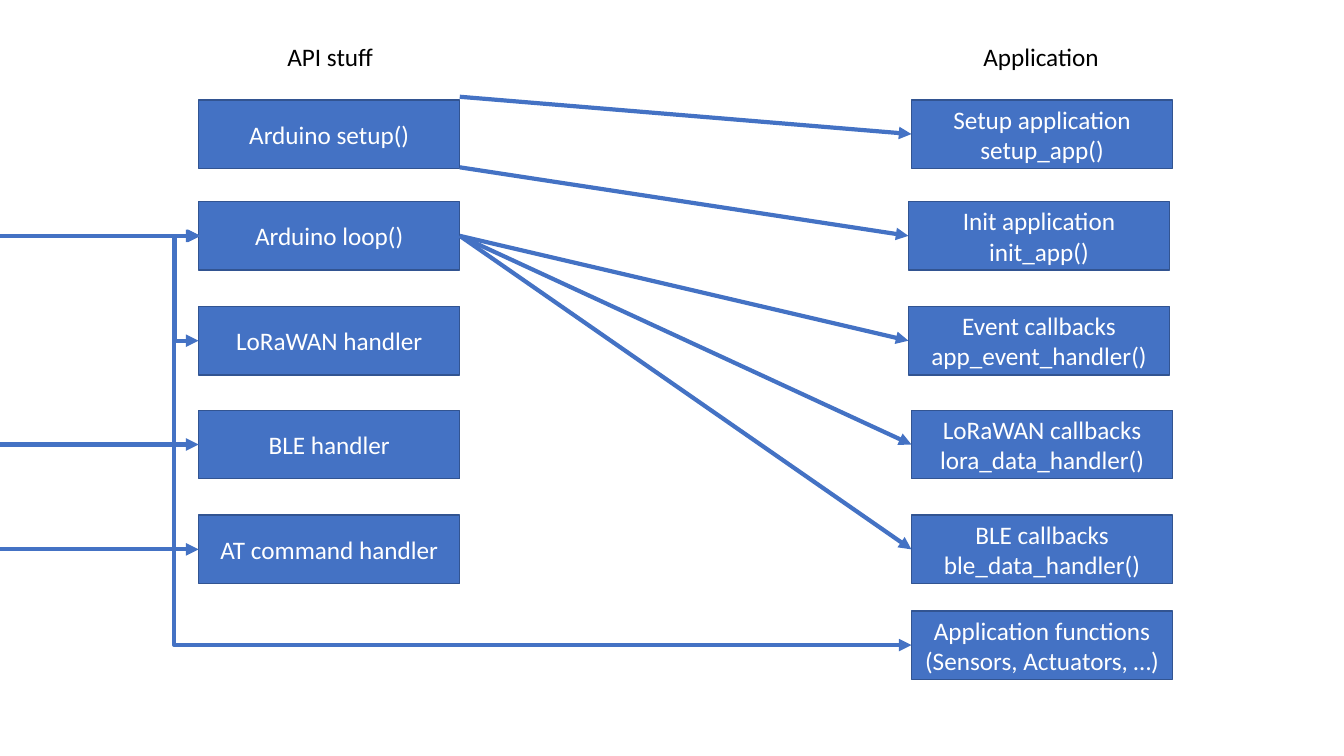
from dataclasses import dataclass

from lxml import etree
from pptx import Presentation
from pptx.dml.color import RGBColor
from pptx.enum.shapes import MSO_CONNECTOR, MSO_SHAPE
from pptx.enum.text import MSO_ANCHOR, PP_ALIGN
from pptx.oxml.ns import qn
from pptx.util import Inches, Pt

STRAIGHT, ELBOW = MSO_CONNECTOR.STRAIGHT, MSO_CONNECTOR.ELBOW
RECTANGLE = MSO_SHAPE.RECTANGLE
MIDDLE, TOP = MSO_ANCHOR.MIDDLE, MSO_ANCHOR.TOP
CENTER = PP_ALIGN.CENTER

BOX_WIDTH, BOX_HEIGHT = 2.59, 0.68
API_LEFT, APPLICATION_LEFT, SHIFTED_LEFT = 1.97, 9.04, 9.01
API_RIGHT = API_LEFT + BOX_WIDTH
ROW_TOPS = [0.99, 2.0, 3.04, 4.07, 5.11, 6.06]
ROW_MIDDLES = [top + BOX_HEIGHT / 2 for top in ROW_TOPS]
SETUP, LOOP, LORAWAN, BLE, COMMAND, FUNCTIONS = ROW_MIDDLES

HEADINGS = [("API stuff", 1.99), ("Application", APPLICATION_LEFT)]
API_BOXES = ["Arduino setup()", "Arduino loop()", "LoRaWAN handler",
             "BLE handler", "AT command handler"]
APPLICATION_BOXES = [
    ("Setup application\nsetup_app()", APPLICATION_LEFT),
    ("Init application\ninit_app()", SHIFTED_LEFT),
    ("Event callbacks\napp_event_handler()", SHIFTED_LEFT),
    ("LoRaWAN callbacks\nlora_data_handler()", APPLICATION_LEFT),
    ("BLE callbacks\nble_data_handler()", APPLICATION_LEFT),
    ("Application functions (Sensors, Actuators, …)", APPLICATION_LEFT),
]
CALL_STARTS = [0.96, 1.66, LOOP, LOOP, LOOP]
HANDLER_LINKS = [
    (API_LEFT + 0.01, API_LEFT, COMMAND, -0.1),
    (API_LEFT + 0.01, API_LEFT, BLE, -0.1),
    (API_LEFT + 0.02, API_LEFT, LORAWAN, 1.74),
    (API_LEFT, APPLICATION_LEFT, FUNCTIONS, 1.73),
]


@dataclass(frozen=True)
class Theme:
    font: str = "Calibri"
    size: int = 18
    blue: RGBColor = RGBColor(0x44, 0x72, 0xC4)
    outline: RGBColor = RGBColor(0x32, 0x54, 0x91)
    white: RGBColor = RGBColor(0xFF, 0xFF, 0xFF)
    black: RGBColor = RGBColor(0, 0, 0)
    outline_width: int = 1
    arrow_width: int = 3


def set_text(shape, text, *, font, size, color, anchor):
    frame = shape.text_frame
    frame.word_wrap = True
    frame.vertical_anchor = anchor
    paragraph = frame.paragraphs[0]
    paragraph.alignment = CENTER
    for index, line in enumerate(text.split("\n")):
        if index:
            paragraph.add_line_break()
        run = paragraph.add_run()
        run.text = line
        run.font.name = font
        run.font.size = Pt(size)
        run.font.color.rgb = color


class DiagramSlide:
    """Draws themed boxes, headings and arrows on one slide."""

    def __init__(self, slide, theme):
        self.slide = slide
        self.theme = theme

    def label(self, shape, text, color, anchor):
        set_text(shape, text, font=self.theme.font, size=self.theme.size,
                 color=color, anchor=anchor)

    def heading(self, text, left):
        shape = self.slide.shapes.add_textbox(
            Inches(left), Inches(0.36), Inches(2.57), Inches(0.4))
        self.label(shape, text, self.theme.black, TOP)

    def box(self, text, left, top):
        shape = self.slide.shapes.add_shape(
            RECTANGLE, Inches(left), Inches(top),
            Inches(BOX_WIDTH), Inches(BOX_HEIGHT))
        shape.shadow.inherit = False
        shape.fill.solid()
        shape.fill.fore_color.rgb = self.theme.blue
        shape.line.color.rgb = self.theme.outline
        shape.line.width = Pt(self.theme.outline_width)
        self.label(shape, text, self.theme.white, MIDDLE)

    def arrow(self, start, end, kind=STRAIGHT, ends=("tailEnd",)):
        connector = self.slide.shapes.add_connector(
            kind, *(Inches(value) for value in (*start, *end)))
        connector.line.color.rgb = self.theme.blue
        connector.line.width = Pt(self.theme.arrow_width)
        properties = connector._element.spPr
        line = properties.find(qn("a:ln"))
        for name in ends:
            etree.SubElement(line, qn(f"a:{name}"), type="triangle")
        etree.SubElement(properties, qn("a:effectLst"))
        return connector

    def bent_arrow(self, start, end, bend):
        connector = self.arrow(start, end, ELBOW, ("headEnd", "tailEnd"))
        ratio = (bend - start[0]) / (end[0] - start[0])
        geometry = connector._element.spPr.find(qn("a:prstGeom"))
        guides = geometry.find(qn("a:avLst"))
        etree.SubElement(guides, qn("a:gd"), name="adj1",
                         fmla=f"val {round(ratio * 100000)}")


def main():
    presentation = Presentation()
    presentation.slide_width = Inches(13.33)
    presentation.slide_height = Inches(7.5)
    slide = presentation.slides.add_slide(presentation.slide_layouts[6])
    diagram = DiagramSlide(slide, Theme())

    for text, left in HEADINGS:
        diagram.heading(text, left)
    for text, top in zip(API_BOXES, ROW_TOPS):
        diagram.box(text, API_LEFT, top)
    for (text, left), top in zip(APPLICATION_BOXES, ROW_TOPS):
        diagram.box(text, left, top)
    for start, (_, left), middle in zip(CALL_STARTS, APPLICATION_BOXES, ROW_MIDDLES):
        diagram.arrow((API_RIGHT, start), (left, middle))
    for start, end, middle, bend in HANDLER_LINKS:
        diagram.bent_arrow((start, LOOP), (end, middle), bend)

    presentation.save("out.pptx")


if __name__ == "__main__":
    main()
